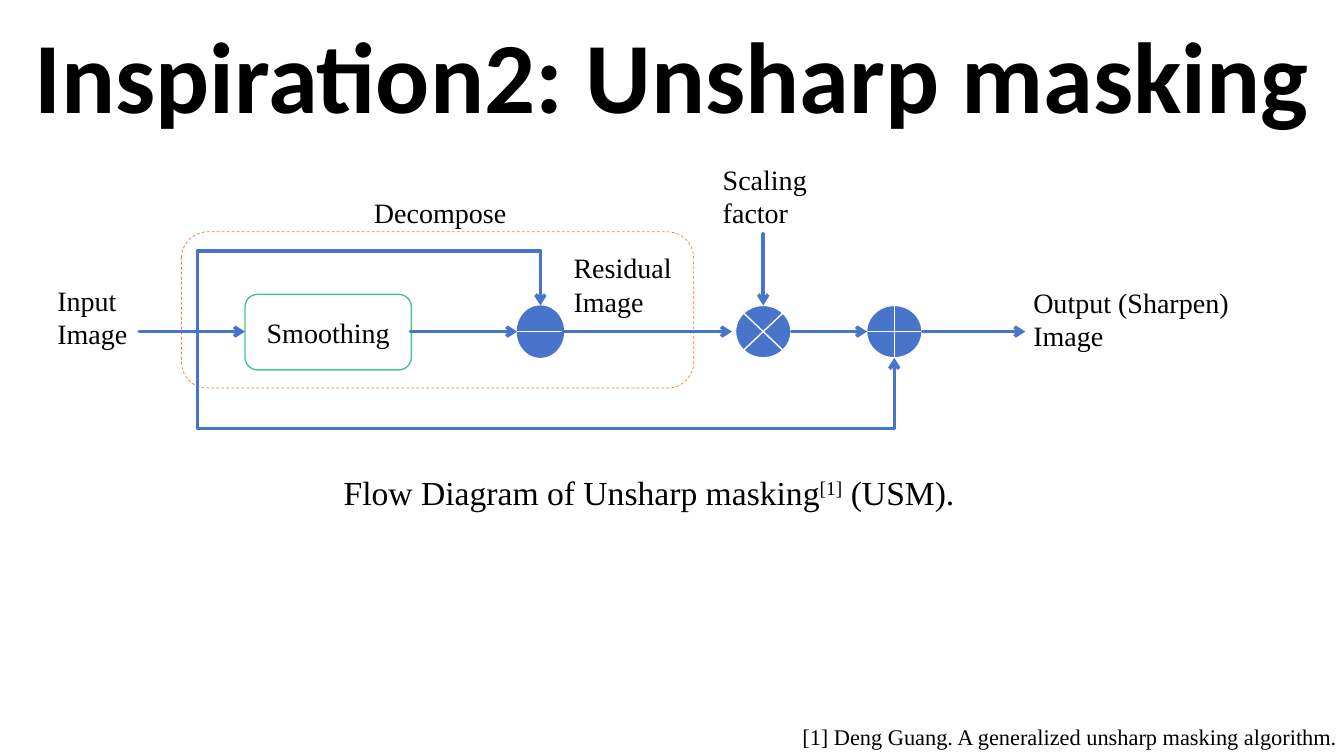
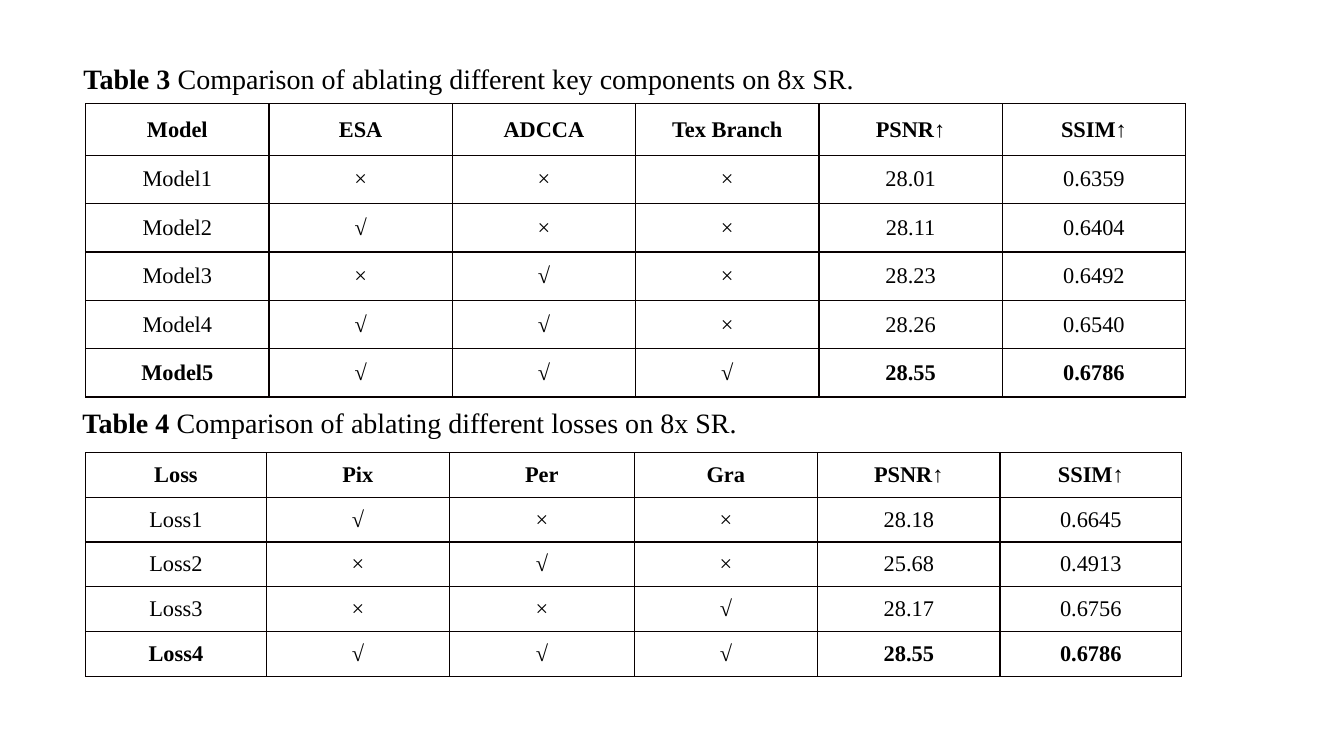
from dataclasses import dataclass, field
from typing import Any, NamedTuple, Optional

from lxml import etree
from pptx import Presentation
from pptx import util as u
from pptx.dml.color import RGBColor
from pptx.enum import dml, shapes, text
from pptx.oxml import ns

BLACK = RGBColor(0x00, 0x00, 0x00)
WHITE = RGBColor(0xFF, 0xFF, 0xFF)
BLUE = RGBColor(0x48, 0x74, 0xCB)
GREEN = RGBColor(0x45, 0xC4, 0x90)
ORANGE = RGBColor(0xEE, 0x82, 0x2F)
BORDER = RGBColor(0x08, 0x00, 0x00)

SERIF = "Times New Roman"
AXIS = 3.29  # height of the main flow line
LOOP_TOP, LOOP_BOTTOM, LOOP_LEFT = 2.49, 4.25, 1.96
NODE_TOP, NODE_HEIGHT = 3.03, 0.52
MINUS_X, TIMES_X, PLUS_X = 5.36, 7.57, 8.87


class Span(NamedTuple):
    text: str
    bold: bool = False
    superscript: bool = False


class Box(NamedTuple):
    left: float
    top: float
    width: float
    height: float


@dataclass
class Label:
    box: Box
    lines: list[list[Span]]
    size: int = 20
    font: str = SERIF
    wrap: bool = True
    align: Any = text.PP_ALIGN.LEFT
    margin_right: float = 0.1


@dataclass
class Node:
    kind: Any
    box: Box
    fill: Optional[RGBColor] = None
    line: Optional[RGBColor] = None
    weight: float = 1
    dash: Any = None
    caption: str = ""


@dataclass
class Route:
    points: list[tuple[float, float]]
    color: RGBColor = BLUE
    weight: float = 2.5
    arrow: bool = True


@dataclass
class Grid:
    left: float
    top: float
    widths: list[float]
    heights: list[float]
    rows: list[list[str]]
    bold_rows: set[int] = field(default_factory=set)


def plain(*lines: str) -> list[list[Span]]:
    return [[Span(line)] for line in lines]


def caption(number: str, title: str) -> list[list[Span]]:
    return [[Span(number, bold=True), Span(title)]]


LABELS = [
    Label(Box(0.24, 0.08, 12.86, 1.31), [[Span("Inspiration2: Unsharp masking", bold=True)]],
          72, "Calibri", False, text.PP_ALIGN.CENTER),
    Label(Box(3.31, 4.63, 7.96, 0.5),
          [[Span("Flow Diagram of Unsharp masking"), Span("[1]", superscript=True),
            Span(" (USM).")]], 24),
    Label(Box(7.07, 1.56, 1.13, 0.77), plain("Scaling", "factor")),
    Label(Box(0.47, 2.76, 1.27, 1.09), plain("Input", "Image")),
    Label(Box(5.59, 2.44, 1.28, 0.77), plain("Residual", "Image")),
    Label(Box(10.15, 2.78, 2.17, 0.77), plain("Output (Sharpen)", "Image")),
    Label(Box(3.61, 1.89, 2.38, 0.44), plain("Decompose")),
    Label(Box(7.86, 7.12, 5.47, 0.37),
          plain("[1] Deng Guang. A generalized unsharp masking algorithm."), 16,
          wrap=False, margin_right=0),
]


def centred(center: float, width: float) -> Box:
    return Box(center - width / 2, NODE_TOP, width, NODE_HEIGHT)


NODES = [
    Node(shapes.MSO_SHAPE.ROUNDED_RECTANGLE, Box(1.8, 2.3, 5.08, 1.55),
         line=ORANGE, weight=0.5, dash=dml.MSO_LINE.DASH),
    Node(shapes.MSO_SHAPE.ROUNDED_RECTANGLE, Box(2.43, 2.92, 1.65, 0.75),
         line=GREEN, caption="Smoothing"),
    Node(shapes.MSO_SHAPE.FLOWCHART_CONNECTOR, centred(MINUS_X, 0.47), BLUE),
    Node(shapes.MSO_SHAPE.FLOWCHART_SUMMING_JUNCTION, centred(TIMES_X, 0.55), BLUE, WHITE),
    Node(shapes.MSO_SHAPE.FLOWCHART_OR, centred(PLUS_X, 0.55), BLUE, WHITE),
]

ROUTES = [
    Route([(1.38, AXIS), (2.43, AXIS)]),
    Route([(4.07, AXIS), (5.13, AXIS)]),
    Route([(5.13, AXIS), (5.59, AXIS)], WHITE, 1, False),
    Route([(5.59, AXIS), (7.26, AXIS)]),
    Route([(7.85, AXIS), (8.6, AXIS)]),
    Route([(9.15, AXIS), (10.17, AXIS)]),
    Route([(TIMES_X, 2.32), (TIMES_X, NODE_TOP)]),
    Route([(LOOP_LEFT, AXIS), (LOOP_LEFT, LOOP_TOP), (MINUS_X, LOOP_TOP), (MINUS_X, NODE_TOP)]),
    Route([(LOOP_LEFT, AXIS), (LOOP_LEFT, LOOP_BOTTOM), (PLUS_X, LOOP_BOTTOM),
           (PLUS_X, NODE_TOP + NODE_HEIGHT)]),
]

TABLE_CAPTIONS = [
    Label(Box(0.73, 0.56, 10.9, 0.44),
          caption("Table 3", " Comparison of ablating different key components on 8x SR.")),
    Label(Box(0.72, 3.97, 11.07, 0.44),
          caption("Table 4", " Comparison of ablating different losses on 8x SR.")),
]

GRIDS = [
    Grid(0.85, 1.03, [10.91 / 6] * 6, [0.51] + [0.48] * 5, [
        ["Model", "ESA", "ADCCA", "Tex Branch", "PSNR↑", "SSIM↑"],
        ["Model1", "×", "×", "×", "28.01", "0.6359"],
        ["Model2", "√", "×", "×", "28.11", "0.6404"],
        ["Model3", "×", "√", "×", "28.23", "0.6492"],
        ["Model4", "√", "√", "×", "28.26", "0.6540"],
        ["Model5", "√", "√", "√", "28.55", "0.6786"],
    ], {0, 5}),
    Grid(0.85, 4.49, [1.79, 1.82, 1.83, 1.82, 1.81, 1.8], [2.22 / 5] * 5, [
        ["Loss", "Pix", "Per", "Gra", "PSNR↑", "SSIM↑"],
        ["Loss1", "√", "×", "×", "28.18", "0.6645"],
        ["Loss2", "×", "√", "×", "25.68", "0.4913"],
        ["Loss3", "×", "×", "√", "28.17", "0.6756"],
        ["Loss4", "√", "√", "√", "28.55", "0.6786"],
    ], {0, 4}),
]


def set_all(target: Any, values: dict[str, Any]) -> None:
    for name, value in values.items():
        setattr(target, name, value)


def add_span(paragraph: Any, span: Span, size: int, font: str = SERIF) -> None:
    run = paragraph.add_run()
    run.text = span.text
    set_all(run.font, {"size": u.Pt(size), "name": font, "bold": span.bold})
    run.font.color.rgb = BLACK
    if span.superscript:
        run._r.get_or_add_rPr().set("baseline", "30000")


def add_label(slide: Any, label: Label) -> None:
    frame = slide.shapes.add_textbox(*map(u.Inches, label.box)).text_frame
    set_all(frame, {"word_wrap": label.wrap, "margin_right": u.Inches(label.margin_right)})
    paragraph = frame.paragraphs[0]
    paragraph.alignment = label.align
    for index, line in enumerate(label.lines):
        if index:
            paragraph.add_line_break()
        for span in line:
            add_span(paragraph, span, label.size, label.font)


def add_node(slide: Any, node: Node) -> None:
    shape = slide.shapes.add_shape(node.kind, *map(u.Inches, node.box))
    shape.shadow.inherit = False
    if node.fill is None:
        shape.fill.background()
    else:
        shape.fill.solid()
        shape.fill.fore_color.rgb = node.fill
    if node.line is None:
        shape.line.fill.background()
    else:
        shape.line.color.rgb = node.line
        set_all(shape.line, {"width": u.Pt(node.weight), "dash_style": node.dash})
    if node.caption:
        shape.text_frame.vertical_anchor = text.MSO_ANCHOR.MIDDLE
        paragraph = shape.text_frame.paragraphs[0]
        paragraph.alignment = text.PP_ALIGN.CENTER
        add_span(paragraph, Span(node.caption), 20)


def add_route(slide: Any, route: Route) -> None:
    """Draw straight segments through the points, with an arrowhead on the last."""
    segments = list(zip(route.points, route.points[1:]))
    for index, (start, end) in enumerate(segments, 1):
        connector = slide.shapes.add_connector(
            shapes.MSO_CONNECTOR.STRAIGHT, *map(u.Inches, start + end))
        connector.line.color.rgb = route.color
        connector.line.width = u.Pt(route.weight)
        properties = connector.element.spPr
        line = properties.get_or_add_ln()
        line.set("cap", "rnd")
        if route.arrow and index == len(segments):
            etree.SubElement(line, ns.qn("a:tailEnd"), type="arrow")
        etree.SubElement(properties, ns.qn("a:effectLst"))


def add_borders(cell: Any) -> None:
    properties = cell._tc.get_or_add_tcPr()
    for side in ("a:lnL", "a:lnR", "a:lnT", "a:lnB"):
        line = etree.SubElement(properties, ns.qn(side), w=str(u.Pt(1)))
        fill = etree.SubElement(line, ns.qn("a:solidFill"))
        etree.SubElement(fill, ns.qn("a:srgbClr"), val=str(BORDER))


def add_grid(slide: Any, grid: Grid) -> None:
    box = Box(grid.left, grid.top, sum(grid.widths), sum(grid.heights))
    table = slide.shapes.add_table(
        len(grid.heights), len(grid.widths), *map(u.Inches, box)).table
    set_all(table, {"first_row": False, "horz_banding": False})
    for column, width in zip(table.columns, grid.widths):
        column.width = u.Inches(width)
    cell_format = {
        "margin_left": u.Inches(0.07), "margin_right": u.Inches(0.07),
        "margin_top": 0, "margin_bottom": 0,
        "vertical_anchor": text.MSO_ANCHOR.MIDDLE,
    }
    for index, (row, height, values) in enumerate(zip(table.rows, grid.heights, grid.rows)):
        row.height = u.Inches(height)
        for cell, value in zip(row.cells, values):
            set_all(cell, cell_format)
            add_borders(cell)
            cell.fill.background()
            paragraph = cell.text_frame.paragraphs[0]
            paragraph.alignment = text.PP_ALIGN.CENTER
            add_span(paragraph, Span(value, bold=index in grid.bold_rows), 16)


def main() -> None:
    presentation = Presentation()
    set_all(presentation, {"slide_width": u.Inches(13.33), "slide_height": u.Inches(7.5)})
    blank = presentation.slide_layouts[6]

    diagram = presentation.slides.add_slide(blank)
    for node in NODES:
        add_node(diagram, node)
    for route in ROUTES:
        add_route(diagram, route)
    for label in LABELS:
        add_label(diagram, label)

    results = presentation.slides.add_slide(blank)
    for label, grid in zip(TABLE_CAPTIONS, GRIDS):
        add_label(results, label)
        add_grid(results, grid)

    presentation.save("out.pptx")


if __name__ == "__main__":
    main()
